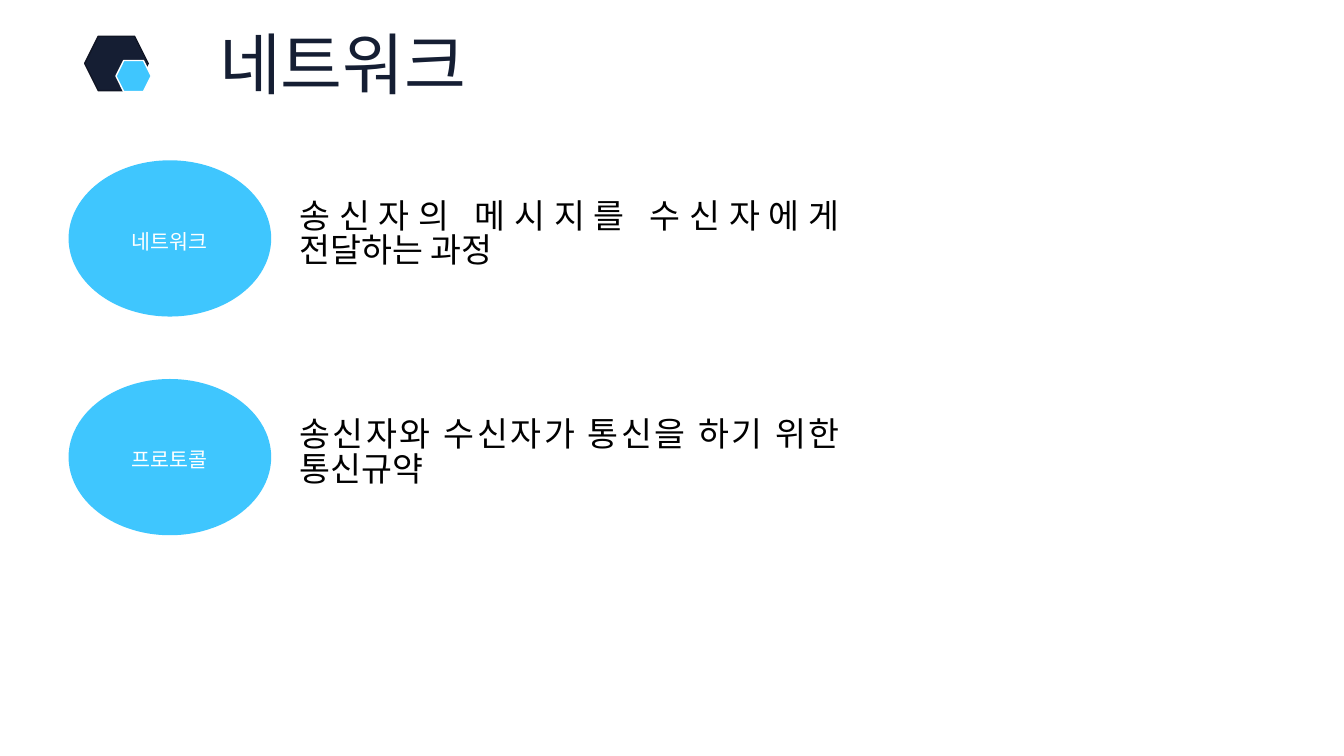
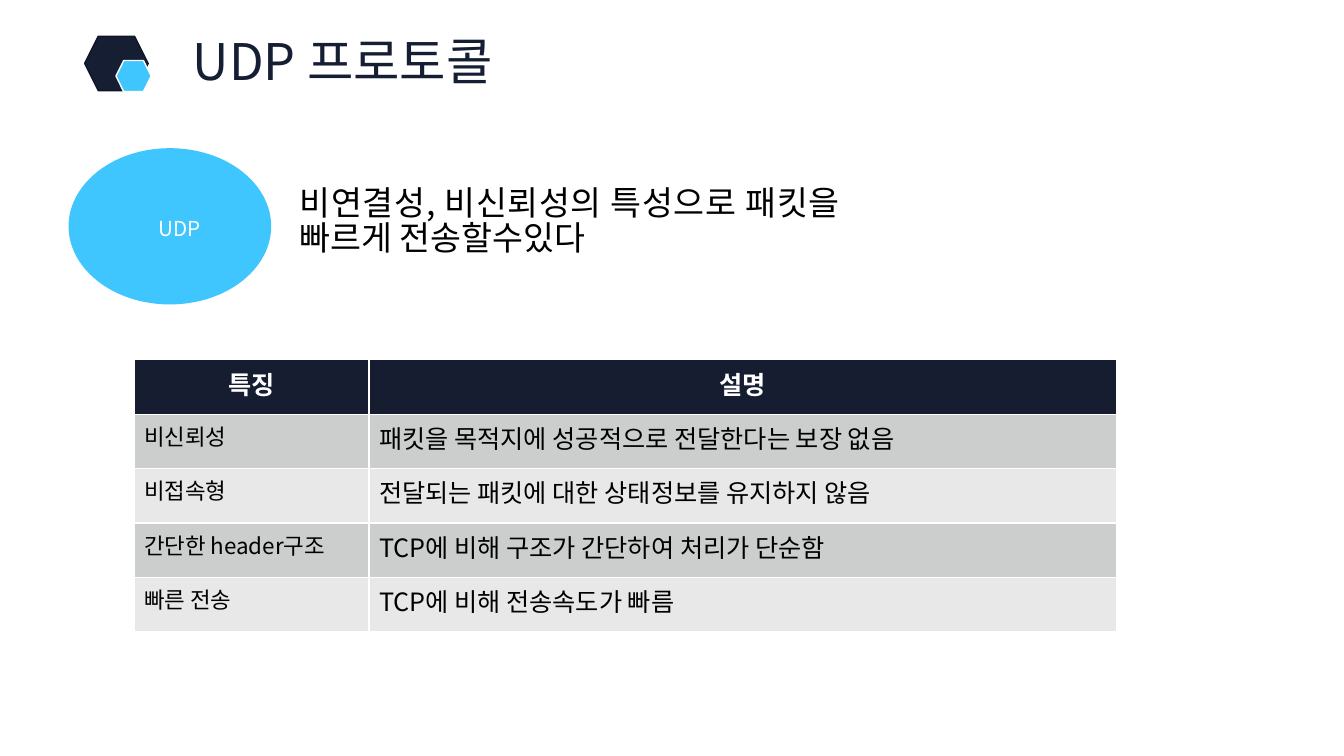
import pptx
import pptx.util
import pptx.dml.color
import pptx.enum.shapes
import pptx.enum.text
import pptx.oxml.ns
import lxml.etree

COLORS = {
    "navy": "151E33",
    "navy_edge": "101524",
    "sky": "3FC6FE",
    "white": "FFFFFF",
    "black": "000000",
    "header": "161D30",
    "odd_row": "CCCDCD",
    "even_row": "E8E8E8",
}
FONT_KR = "Noto Sans CJK KR"
FONT_SC = "Noto Sans CJK SC"
PX = 9144
ALIGN = pptx.enum.text.PP_ALIGN
SHAPE = pptx.enum.shapes.MSO_SHAPE
ANCHOR = pptx.enum.text.MSO_ANCHOR

HEXAGONS = [
    ((84, 36, 63, 54), "navy", "navy_edge"),
    ((115, 60, 35, 31), "sky", "white"),
]
TABLE_LEFT, TABLE_TOP, ROW_HEIGHT = 133, 357, 54
COLUMN_WIDTHS = [233, 741]

SLIDES = [
    {
        "title": ("네트워크", 29, 48),
        "terms": [
            ("네트워크", FONT_KR, 0, 159, "송신자의 메시지를 수신자에게 전달하는 과정"),
            ("프로토콜", FONT_KR, 0, 376, "송신자와 수신자가 통신을 하기 위한 통신규약"),
        ],
    },
    {
        "title": ("UDP 프로토콜", 34, 36),
        "terms": [
            ("UDP", FONT_SC, 20, 147, "비연결성, 비신뢰성의 특성으로 패킷을 빠르게 전송할수있다"),
        ],
        "table": [
            ("특징", "설명"),
            ("비신뢰성", "패킷을 목적지에 성공적으로 전달한다는 보장 없음"),
            ("비접속형", "전달되는 패킷에 대한 상태정보를 유지하지 않음"),
            ("간단한 header구조", "TCP에 비해 구조가 간단하여 처리가 단순함"),
            ("빠른 전송", "TCP에 비해 전송속도가 빠름"),
        ],
    },
]


def rgb(name):
    return pptx.dml.color.RGBColor.from_string(COLORS[name])


def scaled(*lengths):
    return [pptx.util.Emu(length * PX) for length in lengths]


def write(frame, text, size, font, color, align=ALIGN.LEFT, bold=False, spacing=None):
    para = frame.paragraphs[0]
    para.text = text
    para.alignment = align
    if spacing:
        para.line_spacing = spacing
    para.font.size = pptx.util.Pt(size)
    para.font.bold = bold
    para.font.color.rgb = rgb(color)
    para.font.name = font
    east_asian = lxml.etree.SubElement(para.font._rPr, pptx.oxml.ns.qn("a:ea"))
    east_asian.set("typeface", font)


def clear_margins(frame):
    frame.margin_left = frame.margin_top = frame.margin_right = frame.margin_bottom = 0


def add_filled(page, kind, place, fill, line=None):
    shape = page.shapes.add_shape(kind, *scaled(*place))
    shape.shadow.inherit = False
    shape.fill.solid()
    shape.fill.fore_color.rgb = rgb(fill)
    if line:
        shape.line.color.rgb = rgb(line)
        shape.line.width = pptx.util.Pt(1)
    else:
        shape.line.fill.background()
    return shape


def add_title(page, text, top, size):
    for place, fill, line in HEXAGONS:
        add_filled(page, SHAPE.HEXAGON, place, fill, line)
    box = page.shapes.add_textbox(*scaled(139, top, 402, 71))
    box.text_frame.word_wrap = True
    write(box.text_frame, text, size, FONT_KR, "navy", ALIGN.CENTER, spacing=0.85)


def add_term(page, label, font, indent, top, meaning):
    oval = add_filled(page, SHAPE.OVAL, (68, top, 201, 155), "sky")
    frame = oval.text_frame
    clear_margins(frame)
    frame.margin_left = scaled(indent)[0]
    frame.vertical_anchor = ANCHOR.MIDDLE
    write(frame, label, 14.7, font, "white", ALIGN.CENTER, spacing=1.2)

    box = page.shapes.add_textbox(*scaled(297, top + 40, 536, 61))
    box.text_frame.word_wrap = True
    clear_margins(box.text_frame)
    write(box.text_frame, meaning, 24, FONT_SC, "black", ALIGN.JUSTIFY, spacing=0.85)


def add_features(page, rows):
    place = scaled(TABLE_LEFT, TABLE_TOP, sum(COLUMN_WIDTHS), ROW_HEIGHT * len(rows))
    table = page.shapes.add_table(len(rows), len(COLUMN_WIDTHS), *place).table
    for column, width in zip(table.columns, scaled(*COLUMN_WIDTHS)):
        column.width = width
    for i, row in enumerate(rows):
        for j, text in enumerate(row):
            cell = table.cell(i, j)
            cell.fill.solid()
            if i == 0:
                cell.fill.fore_color.rgb = rgb("header")
                write(cell.text_frame, text, 18, FONT_SC, "white", ALIGN.CENTER, bold=True)
            else:
                cell.fill.fore_color.rgb = rgb("odd_row" if i % 2 else "even_row")
                write(cell.text_frame, text, 18 if j else 16, FONT_SC, "black")


def main():
    deck = pptx.Presentation()
    deck.slide_width, deck.slide_height = scaled(1333, 750)
    for content in SLIDES:
        page = deck.slides.add_slide(deck.slide_layouts[6])
        add_title(page, *content["title"])
        for term in content["terms"]:
            add_term(page, *term)
        if "table" in content:
            add_features(page, content["table"])
    deck.save("out.pptx")


if __name__ == "__main__":
    main()
